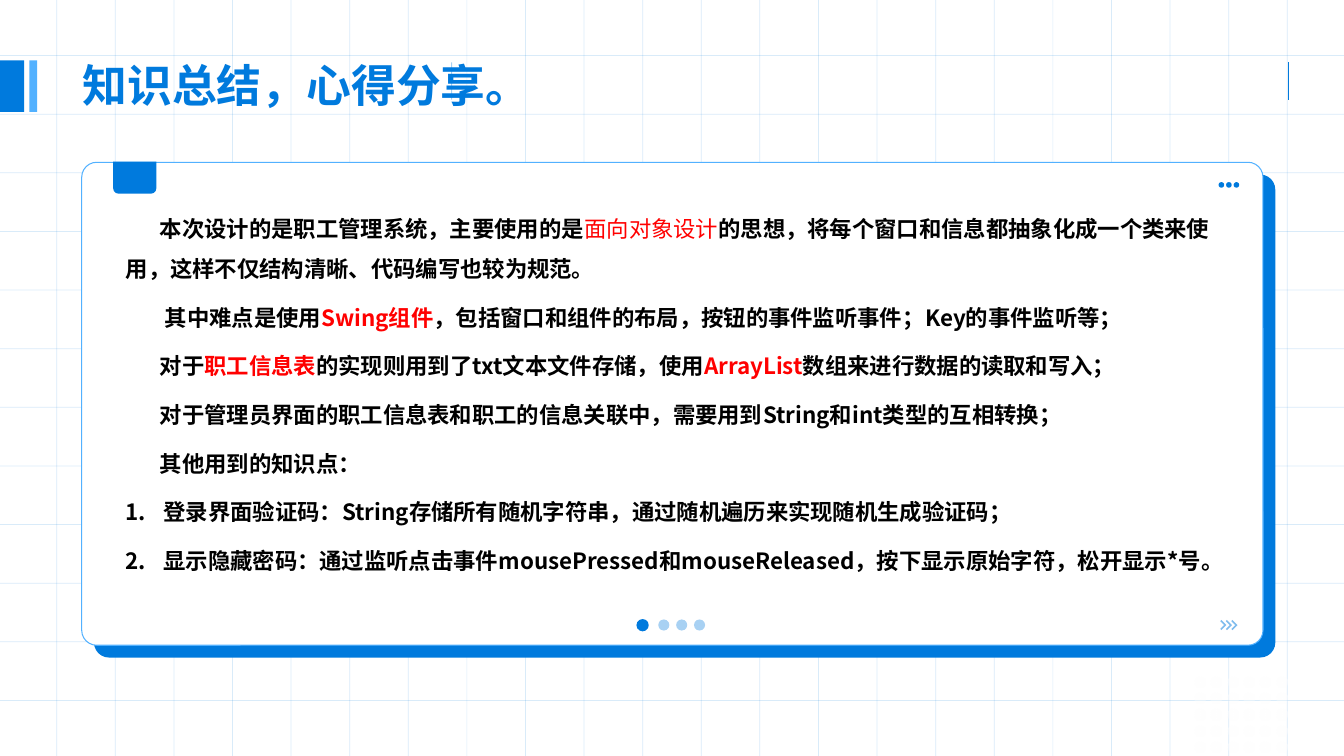
from lxml import etree
from pptx import Presentation
from pptx import util as u
from pptx.dml import color
from pptx.enum import shapes, text
from pptx.oxml import ns

COLORS = {"blue": "007ADD", "sky": "52B1FF", "white": "FFFFFF",
          "black": "000000", "red": "FF0000"}
FONT = "Noto Sans CJK SC"
KIND = shapes.MSO_SHAPE
STORY = [
    [("本次设计的是职工管理系统，主要使用的是", "black", True),
     ("面向对象设计", "red", False),
     ("的思想，将每个窗口和信息都抽象化成一个类来使用，这样不仅结构清晰、代码编写也较为规范。", "black", True)],
    [(" 其中难点是使用", "black", True), ("Swing组件", "red", True),
     ("，包括窗口和组件的布局，按钮的事件监听事件；Key的事件监听等；", "black", True)],
    [("对于", "black", True), ("职工信息表", "red", True),
     ("的实现则用到了txt文本文件存储，使用", "black", True), ("ArrayList", "red", True),
     ("数组来进行数据的读取和写入；", "black", True)],
    [("对于管理员界面的职工信息表和职工的信息关联中，需要用到String和int类型的互相转换；", "black", True)],
    [("其他用到的知识点：", "black", True)],
]
POINTS = [
    [("登录界面验证码：String存储所有随机字符串，通过随机遍历来实现随机生成验证码；", "black", True)],
    [("显示隐藏密码：通过监听点击事件mousePressed和mouseReleased，按下显示原始字符，松开显示*号。", "black", True)],
]


def rgb(name):
    """Return the named colour."""
    return color.RGBColor.from_string(COLORS[name])


def set_alpha(element, percents):
    """Give each colour found in an element its opacity."""
    for node, percent in zip(element.iter(ns.qn("a:srgbClr")), percents):
        etree.SubElement(node, ns.qn("a:alpha"), val=str(percent * 1000))


def add_shape(slide, kind, box, fill, alpha=100, line=None, turn=0):
    """Add a flat preset shape in a box given in centimetres."""
    shape = slide.shapes.add_shape(kind, *map(u.Cm, box))
    shape.shadow.inherit = False
    shape.rotation = turn
    shape.fill.solid()
    shape.fill.fore_color.rgb = rgb(fill)
    if alpha < 100:
        set_alpha(shape._element.spPr, [alpha])
    if line:
        shape.line.color.rgb = rgb(line)
        shape.line.width = u.Pt(0.75)
    else:
        shape.line.fill.background()
    return shape


def add_line(slide, ends, width, alpha=100):
    """Add a straight blue line between two points."""
    line = slide.shapes.add_connector(shapes.MSO_CONNECTOR.STRAIGHT, *map(u.Cm, ends))
    line.line.color.rgb = rgb("blue")
    line.line.width = u.Pt(width)
    if alpha < 100:
        set_alpha(line._element.spPr, [alpha])
    etree.SubElement(line._element.spPr, ns.qn("a:effectLst"))


def add_span(para, words, size, tint, bold):
    """Add one formatted run to a paragraph."""
    span = para.add_run()
    span.text = words
    span.font.size = u.Pt(size)
    span.font.bold = bold
    span.font.color.rgb = rgb(tint)
    span.font.name = FONT
    etree.SubElement(span._r.get_or_add_rPr(), ns.qn("a:ea"), typeface=FONT)


def draw_grid(slide, box):
    """Rule the background with evenly spaced faint lines."""
    left, top, width, height = box
    columns, rows = 22, 12
    for index in range(columns):
        x = left + width * index / (columns - 1)
        add_line(slide, (x, -0.79, x, 21.06), 0.5, 15)
    for index in range(rows):
        y = top + height * index / (rows - 1)
        add_line(slide, (-1.09, y, 36.58, y), 0.5, 15)


def draw_header(slide, box):
    """Place the title, its two side bars and the thin rules."""
    left, top, width, height = box
    add_line(slide, (left + 9.55, top + 0.25, left + 9.55, top + 1.19), 0.75, 34)
    add_line(slide, (left + 30.63, top + 0.25, left + 30.63, top + 1.19), 0.75)
    add_shape(slide, KIND.RECTANGLE, (left - 1.93, top + 0.2, 0.71, 1.3), "blue")
    add_shape(slide, KIND.RECTANGLE, (left - 1.09, top + 0.2, 0.2, 1.3), "sky")
    frame = slide.shapes.add_textbox(*map(u.Cm, box)).text_frame
    frame.word_wrap = True
    frame.vertical_anchor = text.MSO_ANCHOR.MIDDLE
    add_span(frame.paragraphs[0], "知识总结，心得分享。", 32, "blue", True)


def draw_dots(slide, box):
    """Fill the corner with a lattice of fading white dots."""
    left, top, width, height = box
    columns, rows, size = 6, 5, 0.28
    for column in range(columns):
        for row in range(rows):
            x = left + (width - size) * column / (columns - 1)
            y = top + (height - size) * row / (rows - 1)
            dot = add_shape(slide, KIND.OVAL, (x, y, size, size), "white")
            dot.fill.gradient()
            dot.fill.gradient_angle = 270
            for stop in dot.fill.gradient_stops:
                stop.color.rgb = rgb("white")
            set_alpha(dot._element.spPr, [67, 15])


def draw_card(slide, box):
    """Draw the rounded card with its backing, tab and small ornaments."""
    left, top, width, height = box
    right, bottom = left + width, top + height
    backing = add_shape(slide, KIND.ROUNDED_RECTANGLE, (left + 0.31, top + 0.31, width, height), "blue")
    panel = add_shape(slide, KIND.ROUNDED_RECTANGLE, box, "white", line="sky")
    for shape in (backing, panel):
        shape.adjustments[0] = 0.031
    for index in range(3):
        add_shape(slide, KIND.OVAL, (right - 1.12 + 0.19 * index, top + 0.5, 0.14, 0.14), "blue")
        chevron = add_shape(slide, KIND.CORNER, (right - 1.14 + 0.14 * index, bottom - 0.6, 0.18, 0.18),
                            "blue", 50, turn=225)
        chevron.adjustments[0], chevron.adjustments[1] = 0.233, 0.224
        add_shape(slide, KIND.OVAL, (left + 14.53 + 0.45 * index, bottom - 0.65, 0.28, 0.28), "blue", 34)
    add_shape(slide, KIND.OVAL, (left + 13.98, bottom - 0.66, 0.31, 0.31), "blue")
    add_shape(slide, KIND.ROUND_2_SAME_RECTANGLE, (left + 0.79, top - 0.02, 1.09, 0.81), "blue", turn=180)


def draw_summary(slide, box):
    """Write the indented paragraphs and the numbered points."""
    frame = slide.shapes.add_textbox(*map(u.Cm, box)).text_frame
    frame.word_wrap = True
    frame.auto_size = text.MSO_AUTO_SIZE.TEXT_TO_FIT_SHAPE
    frame.margin_left = frame.margin_right = u.Cm(0.33)
    frame.margin_top = frame.margin_bottom = u.Cm(0.18)
    for index, spans in enumerate(STORY + POINTS):
        para = frame.paragraphs[0] if index == 0 else frame.add_paragraph()
        para.line_spacing = 1.5
        para.space_before = u.Pt(3 if index else 0)
        para.space_after = u.Pt(3)
        numbered = index >= len(STORY)
        props = para._p.get_or_add_pPr()
        props.set("marL", str(u.Cm(0.95 if numbered else 0)))
        props.set("indent", str(u.Cm(-0.95 if numbered else 0.86)))
        if numbered:
            etree.SubElement(props, ns.qn("a:buFont"), typeface="+mj-lt")
            etree.SubElement(props, ns.qn("a:buAutoNum"), type="arabicPeriod")
        for words, tint, bold in spans:
            add_span(para, words, 16, tint, bold)


def main():
    """Build the summary slide and save the deck."""
    deck = Presentation()
    deck.slide_width, deck.slide_height = u.Cm(33.87), u.Cm(19.05)
    slide = deck.slides.add_slide(deck.slide_layouts[6])
    draw_grid(slide, (1.43, 1.4, 31.01, 16.25))
    draw_header(slide, (1.83, 1.32, 24.79, 1.63))
    draw_dots(slide, (30.1, 17.04, 2.34, 1.93))
    draw_card(slide, (2.06, 4.09, 29.77, 12.17))
    draw_summary(slide, (2.84, 4.9, 28.04, 10.87))
    deck.save("out.pptx")


if __name__ == "__main__":
    main()
